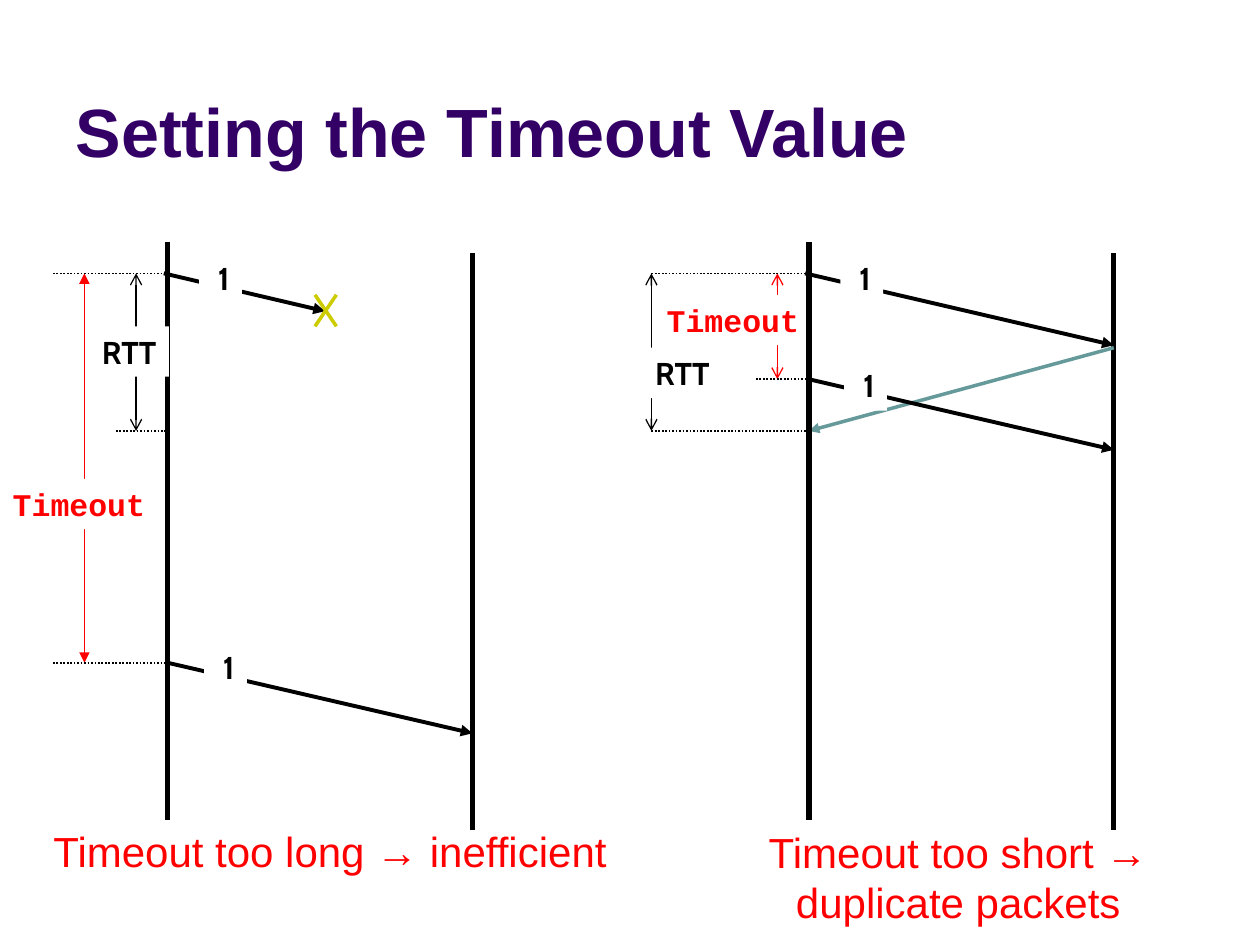
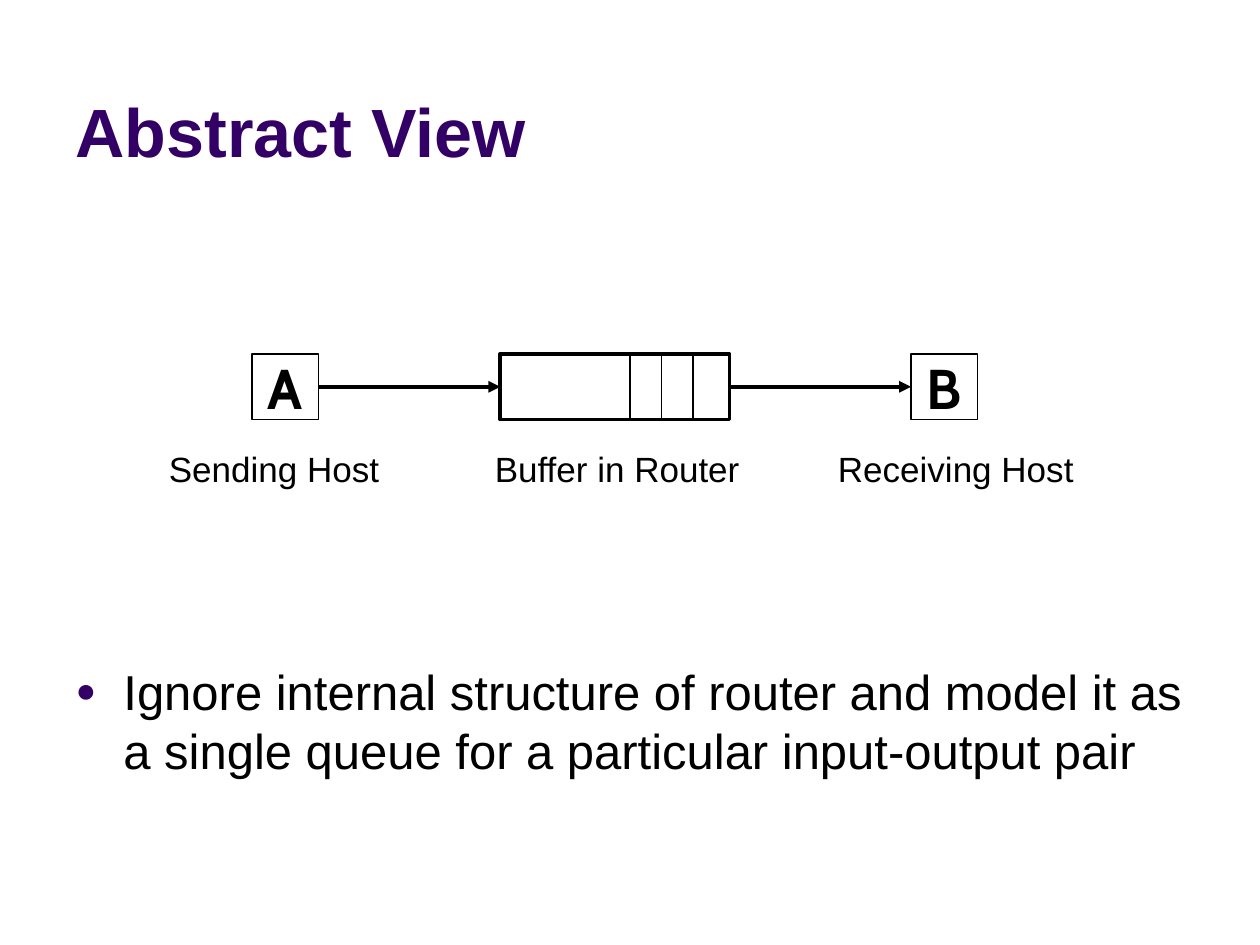
from dataclasses import dataclass
from typing import Optional, Union

from lxml import etree
from pptx import Presentation
from pptx.dml.color import RGBColor
from pptx.enum.dml import MSO_LINE
from pptx.enum.shapes import MSO_CONNECTOR, MSO_SHAPE
from pptx.enum.text import MSO_ANCHOR, MSO_AUTO_SIZE, PP_ALIGN
from pptx.oxml.ns import qn
from pptx.util import Inches, Pt

STRAIGHT = MSO_CONNECTOR.STRAIGHT
RECTANGLE = MSO_SHAPE.RECTANGLE
DOTTED = MSO_LINE.ROUND_DOT
LEFT, CENTER, RIGHT = PP_ALIGN.LEFT, PP_ALIGN.CENTER, PP_ALIGN.RIGHT
TOP, MIDDLE, BOTTOM = MSO_ANCHOR.TOP, MSO_ANCHOR.MIDDLE, MSO_ANCHOR.BOTTOM
NO_AUTOFIT = MSO_AUTO_SIZE.NONE
LEFT_SIDE, RIGHT_SIDE = 1, 3
TITLE_AND_CONTENT, TITLE_ONLY = 1, 5


@dataclass(frozen=True)
class Theme:
    black: str = "000000"
    white: str = "FFFFFF"
    purple: str = "330066"
    red: str = "FF0000"
    teal: str = "669999"
    yellow: str = "CCCC00"
    sans: str = "Arial"
    label: str = "Cabin"
    mono: str = "Courier New"
    title_size: float = 39
    host_size: float = 32
    body_size: float = 28
    verdict_size: float = 24
    caption_size: float = 20
    label_size: float = 18


THEME = Theme()


@dataclass(frozen=True)
class Line:
    x1: float
    y1: float
    x2: float
    y2: float
    width: float
    color: str = THEME.black
    head: Optional[str] = None
    tail: Optional[str] = None
    dotted: bool = False


@dataclass(frozen=True)
class Label:
    text: str
    left: float
    top: float
    width: float
    font: str = THEME.label
    color: str = THEME.black
    height: float = 0.4


Mark = Union[Line, Label]


@dataclass(frozen=True)
class Box:
    left: float
    width: float
    line_width: float
    text: str = ""


@dataclass(frozen=True)
class Caption:
    text: str
    left: float
    width: float


def write_text(shape, text: str, *, size: float, font: str = THEME.sans,
               color: str = THEME.black, bold: bool = False, align=LEFT,
               anchor=TOP, wrap: bool = True, insets=(0.1, 0.05)) -> None:
    frame = shape.text_frame
    frame.text = text
    frame.auto_size = NO_AUTOFIT
    frame.word_wrap = wrap
    frame.vertical_anchor = anchor
    frame.margin_left = frame.margin_right = Inches(insets[0])
    frame.margin_top = frame.margin_bottom = Inches(insets[1])
    for paragraph in frame.paragraphs:
        paragraph.alignment = align
        paragraph.space_before = Pt(0)
        paragraph.font.size = Pt(size)
        paragraph.font.name = font
        paragraph.font.bold = bold
        paragraph.font.color.rgb = RGBColor.from_string(color)


def place(shape, left: float, top: float, width: float, height: float) -> None:
    shape.left, shape.top = Inches(left), Inches(top)
    shape.width, shape.height = Inches(width), Inches(height)


def add_titled_slide(presentation, layout: int, title: str):
    slide = presentation.slides.add_slide(presentation.slide_layouts[layout])
    place(slide.shapes.title, 0.5, 0.13, 9, 1.28)
    write_text(slide.shapes.title, title, size=THEME.title_size,
               color=THEME.purple, bold=True, anchor=BOTTOM)
    return slide


def add_textbox(slide, text: str, left: float, top: float, width: float,
                height: float, **text_format) -> None:
    shape = slide.shapes.add_textbox(Inches(left), Inches(top),
                                     Inches(width), Inches(height))
    write_text(shape, text, **text_format)


def add_rectangle(slide, left: float, top: float, width: float, height: float,
                  line_width: float = 0):
    shape = slide.shapes.add_shape(RECTANGLE, Inches(left), Inches(top),
                                   Inches(width), Inches(height))
    shape.shadow.inherit = False
    shape.fill.solid()
    shape.fill.fore_color.rgb = RGBColor.from_string(THEME.white)
    if line_width:
        shape.line.color.rgb = RGBColor.from_string(THEME.black)
        shape.line.width = Pt(line_width)
    else:
        shape.line.fill.background()
    return shape


def add_line(slide, line: Line):
    connector = slide.shapes.add_connector(
        STRAIGHT, Inches(line.x1), Inches(line.y1), Inches(line.x2), Inches(line.y2))
    connector.line.color.rgb = RGBColor.from_string(line.color)
    connector.line.width = Pt(line.width)
    if line.dotted:
        connector.line.dash_style = DOTTED
    outline = connector.line._get_or_add_ln()
    for tag, kind in (("a:headEnd", line.head), ("a:tailEnd", line.tail)):
        if kind:
            etree.SubElement(outline, qn(tag), type=kind)
    etree.SubElement(connector._element.spPr, qn("a:effectLst"))
    return connector


def add_label(slide, label: Label) -> None:
    shape = add_rectangle(slide, label.left, label.top, label.width, label.height)
    write_text(shape, label.text, size=THEME.label_size, font=label.font,
               color=label.color, bold=True, align=RIGHT, wrap=False)


def add_marks(slide, marks: list[Mark]) -> None:
    for mark in marks:
        if isinstance(mark, Line):
            add_line(slide, mark)
        else:
            add_label(slide, mark)


SEND_Y, RTT_END_Y = 2.17, 3.42
HOST_GAP, PACKET_DROP = 2.42, 0.56
LONG_SENDER, SHORT_SENDER = 1.33, 6.42
LONG_RESEND_Y, SHORT_RESEND_Y = 5.26, 3.01


def sender_line(x: float) -> Line:
    return Line(x, 1.92, x, 6.51, 3)


def receiver_line(sender: float) -> Line:
    x = sender + HOST_GAP
    return Line(x, 2.01, x, 6.59, 3)


def packet(x1: float, y1: float, x2: float, y2: float) -> Line:
    return Line(x1, y1, x2, y2, 2.25, tail="triangle")


def resent_packet(sender: float, y: float) -> Line:
    return packet(sender, y, sender + HOST_GAP, y + PACKET_DROP)


def packet_number(left: float, top: float) -> Label:
    return Label("1", left, top, 0.34)


def guide(left: float, right: float, y: float) -> Line:
    return Line(left, y, right, y, 1, dotted=True)


def span(x: float, bottom: float, color: str = THEME.black,
         width: float = 0.75, arrow: str = "arrow") -> Line:
    return Line(x, SEND_Y, x, bottom, width, color, arrow, arrow)


def rtt_label(left: float, top: float) -> Label:
    return Label("RTT", left, top, 0.65)


def timeout_label(left: float, top: float) -> Label:
    return Label("Timeout", left, top, 1.26, THEME.mono, THEME.red)


def long_timeout_marks() -> list[Mark]:
    sender = LONG_SENDER
    return [
        receiver_line(sender),
        packet(sender - 0.03, SEND_Y, 2.58, 2.47),
        packet_number(sender + 0.25, 2.01),
        sender_line(sender),
        resent_packet(sender, LONG_RESEND_Y),
        packet_number(sender + 0.29, 5.09),
        span(1.08, RTT_END_Y),
        rtt_label(0.69, 2.59),
        Line(2.5, 2.34, 2.67, 2.59, 2, THEME.yellow),
        Line(2.67, 2.34, 2.5, 2.59, 2, THEME.yellow),
        span(0.67, LONG_RESEND_Y, THEME.red, 1, "triangle"),
        timeout_label(-0.01, 3.8),
        guide(0.42, sender, LONG_RESEND_Y),
        guide(0.42, sender, SEND_Y),
        guide(0.92, sender, RTT_END_Y),
    ]


def short_timeout_marks() -> list[Mark]:
    sender = SHORT_SENDER
    receiver = sender + HOST_GAP
    return [
        span(6.17, SHORT_RESEND_Y, THEME.red),
        receiver_line(sender),
        packet(sender - 0.03, SEND_Y, receiver, 2.74),
        packet_number(sender + 0.25, 2.01),
        Line(receiver, 2.76, sender, RTT_END_Y, 2, THEME.teal, tail="triangle"),
        resent_packet(sender, SHORT_RESEND_Y),
        packet_number(sender + 0.28, 2.86),
        guide(5.17, sender, RTT_END_Y),
        guide(5.17, sender, SEND_Y),
        timeout_label(5.18, 2.34),
        guide(6, sender, SHORT_RESEND_Y),
        sender_line(sender),
        span(5.17, RTT_END_Y),
        rtt_label(5.08, 2.76),
    ]


def build_timeout_slide(presentation) -> None:
    slide = add_titled_slide(presentation, TITLE_ONLY, "Setting the Timeout Value")
    add_marks(slide, long_timeout_marks() + short_timeout_marks())
    verdict = {"size": THEME.verdict_size, "color": THEME.red, "align": CENTER}
    add_textbox(slide, "Timeout too long → inefficient", 0.07, 6.5, 5.1, 0.5, **verdict)
    add_textbox(slide, "Timeout too short →\nduplicate packets", 5.26, 6.51, 4.69, 0.91,
                **verdict)


def add_bullet(paragraph) -> None:
    properties = paragraph._p.get_or_add_pPr()
    properties.set("marL", str(Inches(0.38)))
    properties.set("indent", str(-Inches(0.38)))
    color = etree.SubElement(properties, qn("a:buClr"))
    etree.SubElement(color, qn("a:srgbClr"), val=THEME.purple)
    etree.SubElement(properties, qn("a:buSzPct"), val="70000")
    etree.SubElement(properties, qn("a:buChar"), char="●")


def build_abstract_slide(presentation) -> None:
    slide = add_titled_slide(presentation, TITLE_AND_CONTENT, "Abstract View")
    body = slide.placeholders[1]
    place(body, 0.5, 5.2, 9, 1.5)
    write_text(body, "Ignore internal structure of router and model it as a single "
               "queue for a particular input-output pair", size=THEME.body_size)
    add_bullet(body.text_frame.paragraphs[0])

    for caption in (Caption("Sending Host", 1.23, 1.88),
                    Caption("Buffer in Router", 3.81, 2.16),
                    Caption("Receiving Host", 6.53, 2.09)):
        add_textbox(slide, caption.text, caption.left, 3.5, caption.width, 0.43,
                    size=THEME.caption_size, align=RIGHT, wrap=False)

    row_top, row_height = 2.81, 0.52
    nodes = []
    for box in (Box(2, 0.53, 0.75, "A"), Box(3.97, 1.82, 2.25), Box(7.23, 0.53, 0.75, "B")):
        shape = add_rectangle(slide, box.left, row_top, box.width, row_height, box.line_width)
        if box.text:
            write_text(shape, box.text, size=THEME.host_size, font=THEME.label, bold=True,
                       align=CENTER, anchor=MIDDLE, wrap=False, insets=(0.06, 0.03))
        nodes.append(shape)

    middle = row_top + row_height / 2
    for source, target in zip(nodes, nodes[1:]):
        link = add_line(slide, packet(2.53, middle, 3.97, middle))
        link.begin_connect(source, RIGHT_SIDE)
        link.end_connect(target, LEFT_SIDE)
    for slot in range(3):
        x = 5 + 0.25 * slot
        add_line(slide, Line(x, row_top, x, row_top + row_height, 1))


def main() -> None:
    presentation = Presentation()
    presentation.slide_width = Inches(10)
    presentation.slide_height = Inches(7.5)
    build_timeout_slide(presentation)
    build_abstract_slide(presentation)
    presentation.save("out.pptx")


if __name__ == "__main__":
    main()
